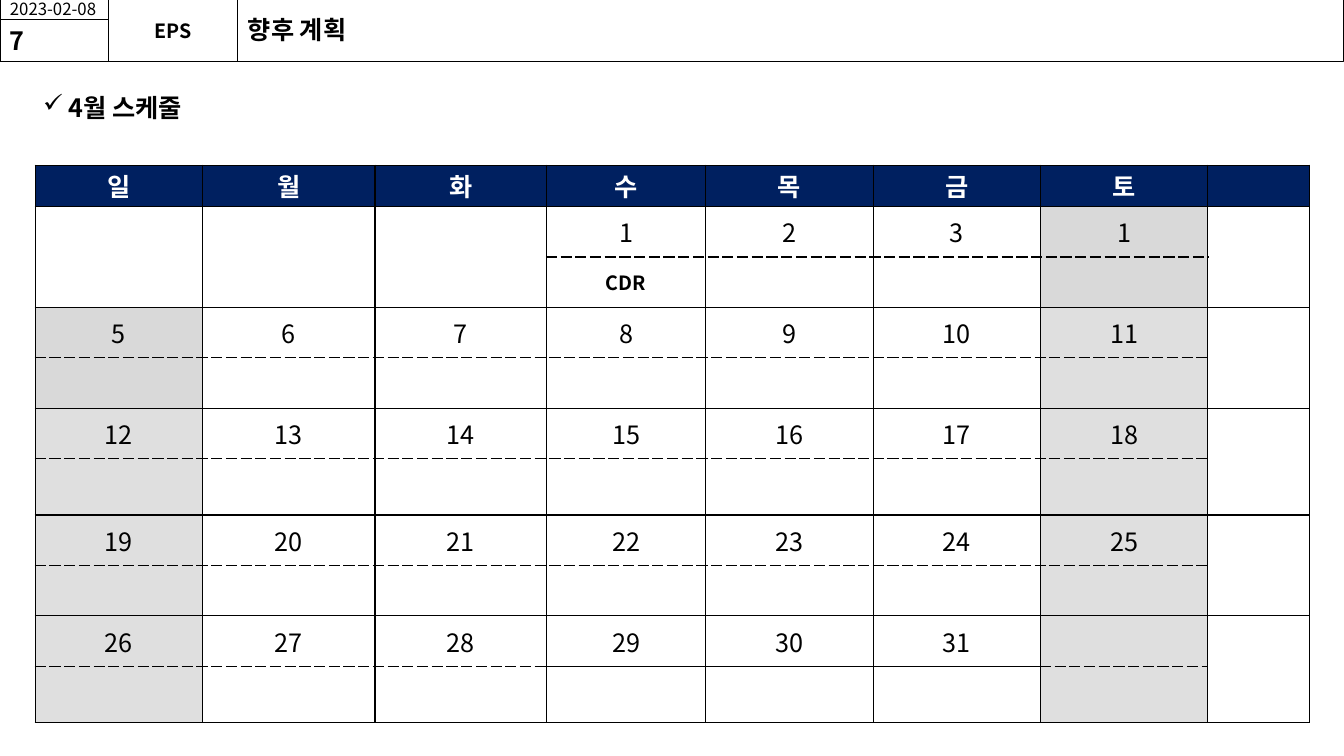
from dataclasses import dataclass

from lxml import etree
from pptx import Presentation
from pptx.dml.color import RGBColor
from pptx.enum.shapes import MSO_SHAPE as SHAPE
from pptx.enum.text import MSO_ANCHOR as ANCHOR, PP_ALIGN as ALIGN
from pptx.oxml.ns import qn
from pptx.util import Inches, Pt


@dataclass(frozen=True)
class Theme:
    font: str = "Noto Sans CJK KR"
    black: str = "000000"
    white: str = "FFFFFF"
    navy: str = "002060"
    gray: str = "D9D9D9"
    light_gray: str = "DFDFDF"
    title: int = 18
    label: int = 14
    small: int = 12


T = Theme()
DAYS = ["일", "월", "화", "수", "목", "금", "토"]
WEEKS = [
    ["", "", "", "1", "2", "3", "1"],
    *[[str(first + day) for day in range(7)] for first in (5, 12, 19)],
    ["26", "27", "28", "29", "30", "31", ""],
]
EVENTS = {(0, 3): "CDR"}
COLUMN_WIDTHS = [1.66, 1.71, 1.7, 1.58, 1.66, 1.66, 1.66, 1.01]
ROW_HEIGHTS = [0.41, 0.5, 0.5, 0.5, 0.5, 0.5, 0.56, 0.5, 0.5, 0.5, 0.56]
SUNDAY, SATURDAY, NOTES = 0, 6, 7


def add_text(tf, text, size=T.title, color=T.black, bold=False, align=ALIGN.LEFT):
    p = tf.paragraphs[0]
    p.alignment = align
    r = p.add_run()
    r.text = text
    r.font.name = T.font
    r.font.size = Pt(size)
    r.font.bold = bold
    r.font.color.rgb = RGBColor.from_string(color)
    ea = etree.SubElement(r.font._element, qn("a:ea"))
    ea.set("typeface", T.font)
    return p


def add_box(slide, x, y, w, h, text="", inset=0.1, **style):
    sp = slide.shapes.add_shape(SHAPE.RECTANGLE, Inches(x), Inches(y), Inches(w), Inches(h))
    sp.shadow.inherit = False
    sp.fill.background()
    sp.line.color.rgb = RGBColor.from_string(T.black)
    sp.line.width = Pt(0.75)
    if text:
        tf = sp.text_frame
        tf.word_wrap = True
        tf.vertical_anchor = ANCHOR.MIDDLE
        tf.margin_left = tf.margin_right = Inches(inset)
        tf.margin_top = tf.margin_bottom = 0
        add_text(tf, text, **style)


def add_label(slide, x, y, w, h, text, **style):
    tf = slide.shapes.add_textbox(Inches(x), Inches(y), Inches(w), Inches(h)).text_frame
    tf.word_wrap = True
    return add_text(tf, text, **style)


def add_check_bullet(p):
    p.line_spacing = 0.9
    pPr = p._p.get_or_add_pPr()
    pPr.set("marL", str(Inches(0.25)))
    pPr.set("indent", str(-Inches(0.25)))
    etree.SubElement(pPr, qn("a:buChar")).set("char", "✓")


def set_borders(cell, dashed=""):
    tcPr = cell._tc.get_or_add_tcPr()
    for side in "LRTB":
        ln = etree.SubElement(tcPr, qn(f"a:ln{side}"), w=str(Pt(1)))
        fill = etree.SubElement(ln, qn("a:solidFill"))
        etree.SubElement(fill, qn("a:srgbClr"), val=T.black)
        etree.SubElement(ln, qn("a:prstDash"), val="sysDash" if side == dashed else "solid")


def format_cell(cell, text="", fill=None, dashed="", **style):
    set_borders(cell, dashed)
    if fill:
        cell.fill.solid()
        cell.fill.fore_color.rgb = RGBColor.from_string(fill)
    else:
        cell.fill.background()
    cell.vertical_anchor = ANCHOR.MIDDLE
    cell.margin_top = cell.margin_bottom = Inches(0.02)
    if text:
        add_text(cell.text_frame, text, align=ALIGN.CENTER, **style)


def day_fill(week, day):
    if day == NOTES:
        return T.white
    if (week, day) in ((0, SATURDAY), (1, SUNDAY)):
        return T.gray
    if day == SATURDAY or (day == SUNDAY and week > 0):
        return T.light_gray
    return None


def add_calendar(slide):
    frame = slide.shapes.add_table(
        len(ROW_HEIGHTS), len(COLUMN_WIDTHS),
        Inches(0.35), Inches(1.64), Inches(12.65), Inches(5.53),
    )
    table = frame.table
    table.first_row = table.horz_banding = False
    for column, width in zip(table.columns, COLUMN_WIDTHS):
        column.width = Inches(width)
    for row, height in zip(table.rows, ROW_HEIGHTS):
        row.height = Inches(height)

    for column, name in enumerate(DAYS + [""]):
        format_cell(table.cell(0, column), name, T.navy, color=T.white, bold=True)

    for week, dates in enumerate(WEEKS):
        for day, date in enumerate(dates + [""]):
            date_cell = table.cell(2 * week + 1, day)
            event_cell = table.cell(2 * week + 2, day)
            merged = day == NOTES or (week == 0 and day < 3)
            solid = merged or (week == 4 and day in (3, 4, 5))
            fill = day_fill(week, day)
            format_cell(date_cell, date, fill, "" if solid else "B")
            format_cell(event_cell, EVENTS.get((week, day), ""), fill,
                        "" if solid else "T", size=T.label, bold=True)
            if merged:
                date_cell.merge(event_cell)


def main():
    prs = Presentation()
    prs.slide_width, prs.slide_height = Inches(13.33), Inches(7.5)
    slide = prs.slides.add_slide(prs.slide_layouts[6])
    add_check_bullet(add_label(slide, 0.33, 0.9, 11.92, 0.5, "4월 스케줄", bold=True))
    add_box(slide, 2.36, -0.01, 10.97, 0.62)
    add_box(slide, 0, -0.01, 1.08, 0.2, "2023-02-08", size=T.small)
    add_box(slide, 1.08, -0.01, 1.28, 0.62, "EPS", inset=0,
            size=T.label, bold=True, align=ALIGN.CENTER)
    add_box(slide, 0, 0.19, 1.08, 0.42, "7", bold=True)
    add_label(slide, 2.36, 0.09, 7.29, 0.4, "향후 계획", bold=True)
    add_calendar(slide)
    prs.save("out.pptx")


if __name__ == "__main__":
    main()
